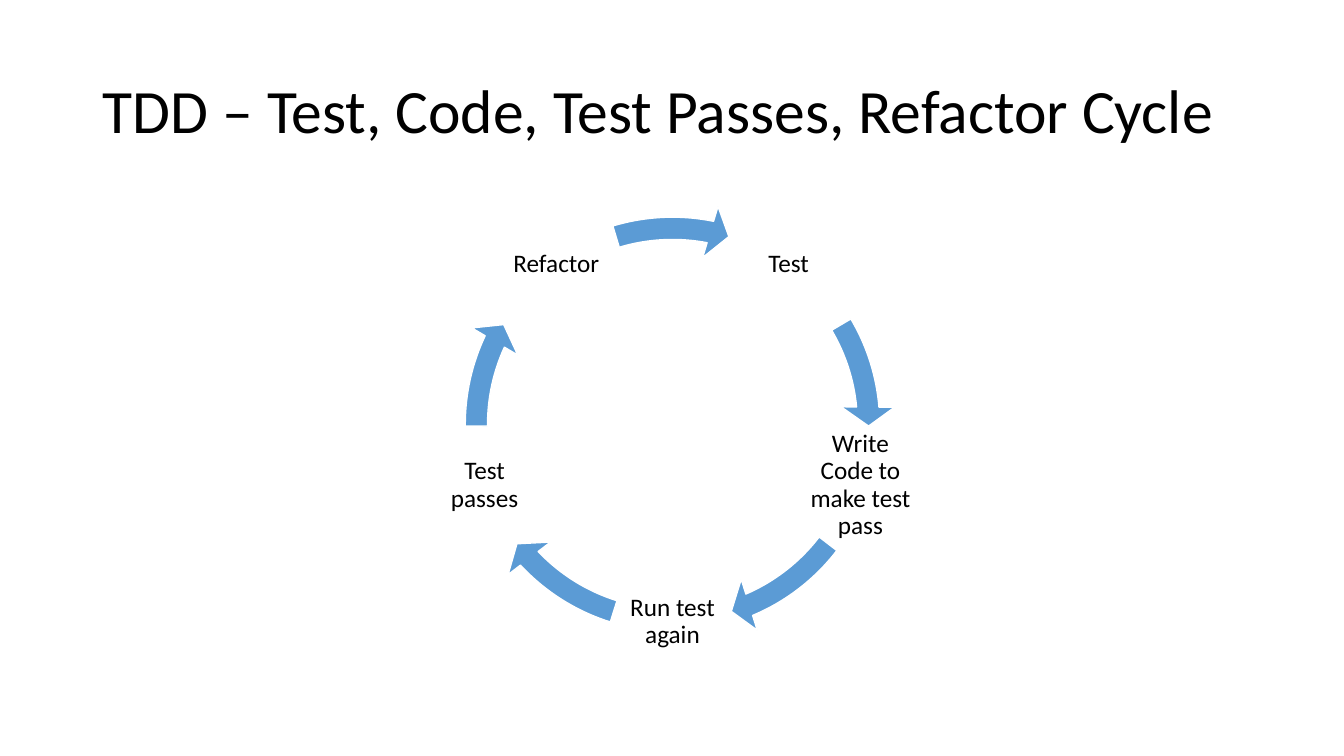
from math import cos, radians, sin

from pptx import Presentation
from pptx.dml.color import RGBColor
from pptx.enum.shapes import MSO_SHAPE
from pptx.enum.text import MSO_ANCHOR, MSO_AUTO_SIZE, PP_ALIGN
from pptx.util import Inches, Pt


def rgb(value):
    """Turn a hex string into a colour."""
    return RGBColor.from_string(value)


def write(sp, text, size, align):
    """Put one vertically centred, wrapped paragraph into a shape."""
    tf = sp.text_frame
    tf.auto_size = MSO_AUTO_SIZE.NONE
    tf.word_wrap = True
    tf.vertical_anchor = MSO_ANCHOR.MIDDLE
    p = tf.paragraphs[0]
    p.alignment = align
    p.line_spacing = 0.9
    r = p.add_run()
    r.text = text
    for name, value in {"name": "Calibri", "size": Pt(size)}.items():
        setattr(r.font, name, value)
    r.font.color.rgb = rgb("000000")


prs = Presentation()
prs.slide_width, prs.slide_height = Inches(13.33), Inches(7.5)
s = prs.slides.add_slide(prs.slide_layouts[5])

title = s.shapes.title
title.left, title.top = Inches(0.92), Inches(0.4)
title.width, title.height = Inches(11.5), Inches(1.45)
write(title, "TDD – Test, Code, Test Passes, Refactor Cycle", 44, PP_ALIGN.LEFT)

# Steps lie 72 degrees apart, clockwise; each arrow leads to the next step
CENTER_X, CENTER_Y, RADIUS = 6.67, 4.21, 1.96
LABEL, RING = 1.18, 4.42
DEGREE = 0.6  # one degree in adjustment units
steps = [  # label, arrow start and end in degrees
    ("Test", 329.41, 354.92),
    ("Write Code to make test pass", 37.52, 66.95),
    ("Run test again", 107.46, 136.89),
    ("Test passes", 179.49, 205),
    ("Refactor", 253.28, 281.13),
]

for i, (label, start, end) in enumerate(steps):
    angle = radians(-54 + 360 / len(steps) * i)
    x = CENTER_X + RADIUS * cos(angle) - LABEL / 2
    y = CENTER_Y + RADIUS * sin(angle) - LABEL / 2
    box = s.shapes.add_textbox(Inches(x), Inches(y), Inches(LABEL), Inches(LABEL))
    for side in ("left", "top", "right", "bottom"):
        setattr(box.text_frame, f"margin_{side}", Inches(0.03))
    write(box, label, 18, PP_ALIGN.CENTER)

    arrow = s.shapes.add_shape(
        MSO_SHAPE.CIRCULAR_ARROW,
        Inches(CENTER_X - RING / 2), Inches(CENTER_Y - RING / 2),
        Inches(RING), Inches(RING),
    )
    # Band width, head angle, end, start, head width
    for j, value in enumerate((0.05, 5.59 * DEGREE, end * DEGREE, start * DEGREE, 0.06)):
        arrow.adjustments[j] = value
    arrow.shadow.inherit = False
    arrow.fill.solid()
    arrow.fill.fore_color.rgb = rgb("5B9BD5")
    arrow.line.color.rgb = rgb("FFFFFF")
    arrow.line.width = Pt(1)

prs.save("out.pptx")
